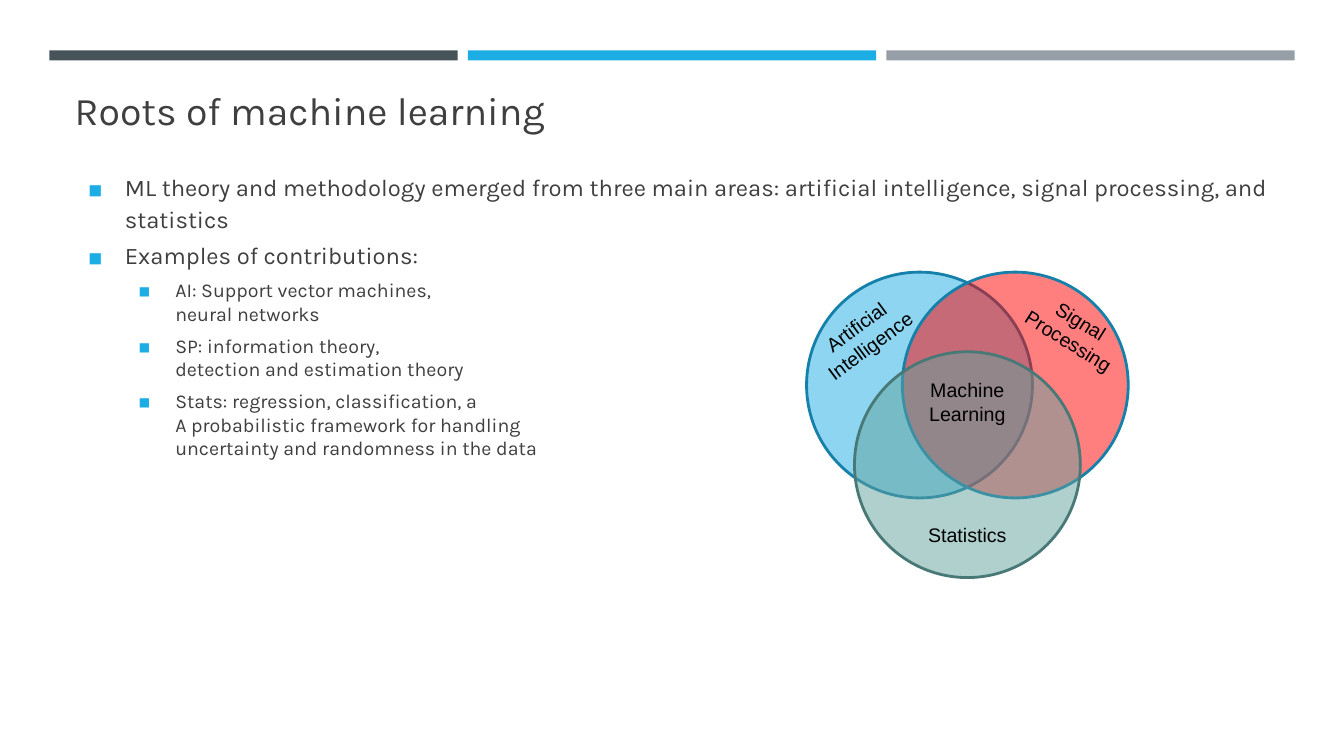
from dataclasses import dataclass

from lxml import etree
from pptx import Presentation
from pptx.dml.color import RGBColor
from pptx.enum.shapes import MSO_SHAPE
from pptx.enum.text import MSO_ANCHOR, PP_ALIGN
from pptx.oxml.ns import qn
from pptx.util import Inches, Pt

RECTANGLE, OVAL = MSO_SHAPE.RECTANGLE, MSO_SHAPE.OVAL
LEFT, CENTER = PP_ALIGN.LEFT, PP_ALIGN.CENTER
TOP, BOTTOM = MSO_ANCHOR.TOP, MSO_ANCHOR.BOTTOM
TITLE_ONLY = 5


@dataclass(frozen=True)
class Theme:
    font: str = "Karla"
    label_font: str = "Arial"
    text: str = "3F3F3F"
    label: str = "000000"
    accent: str = "1CADE4"
    accent_line: str = "1580A9"
    slate: str = "465359"
    gray: str = "969FA7"
    red: str = "FF0000"
    green: str = "62A39F"
    green_line: str = "497976"
    title_size: float = 28
    body_size: float = 17
    small_size: float = 14


THEME = Theme()
SLIDE_WIDTH, SLIDE_HEIGHT = 13.33, 7.5

# Three-column grid for the bars, one text column for title and body
GRID_LEFT, COLUMN_WIDTH, COLUMN_STEP = 0.49, 4.05, 4.15
TEXT_LEFT, TEXT_WIDTH = 0.64, 12.06

# Venn diagram: two circles above, one centred below
DIAMETER, VENN_LEFT, VENN_TOP = 2.24, 8.0, 2.7
OFFSET_X, OFFSET_Y = 0.95, 0.79
LABEL_WIDTH = 1.4

BULLETS = [
    (0, "ML theory and methodology emerged from three main areas: "
        "artificial intelligence, signal processing, and statistics"),
    (0, "Examples of contributions:"),
    (1, "AI: Support vector machines, \vneural networks"),
    (1, "SP: information theory, \vdetection and estimation theory"),
    (1, "Stats: regression, classification, a \v"
        "A probabilistic framework for handling \v"
        "uncertainty and randomness in the data"),
]


def box(left, top, width, height):
    return [Inches(value) for value in (left, top, width, height)]


def write(paragraph, text, *, font, size, color, align=LEFT):
    paragraph.text = text
    paragraph.alignment = align
    for run in paragraph.runs:
        run.font.name = font
        run.font.size = Pt(size)
        run.font.color.rgb = RGBColor.from_string(color)


def add_panel(slide, kind, bounds, fill, line=None, opacity=None):
    shape = slide.shapes.add_shape(kind, *box(*bounds))
    shape.shadow.inherit = False
    shape.fill.solid()
    shape.fill.fore_color.rgb = RGBColor.from_string(fill)
    if opacity:
        color = shape.fill._xPr.find(".//" + qn("a:srgbClr"))
        etree.SubElement(color, qn("a:alpha"), val=str(opacity * 1000))
    if line:
        shape.line.color.rgb = RGBColor.from_string(line)
        shape.line.width = Pt(2)
    else:
        shape.line.fill.background()


def add_label(slide, text, left, top, height=0.57, rotation=0):
    shape = slide.shapes.add_textbox(*box(left, top, LABEL_WIDTH, height))
    shape.rotation = rotation
    shape.text_frame.word_wrap = True
    write(shape.text_frame.paragraphs[0], text, font=THEME.label_font,
          size=THEME.small_size, color=THEME.label, align=CENTER)


def set_bullet(paragraph, level):
    properties = paragraph._p.get_or_add_pPr()
    properties.set("marL", str(Inches(0.5 * (level + 1))))
    properties.set("indent", str(Inches(-0.36)))
    color = etree.SubElement(properties, qn("a:buClr"))
    etree.SubElement(color, qn("a:srgbClr"), val=THEME.accent)
    etree.SubElement(properties, qn("a:buSzPct"), val="92000")
    etree.SubElement(properties, qn("a:buFont"), typeface="Noto Sans Symbols")
    etree.SubElement(properties, qn("a:buChar"), char="◼")


def add_title(slide, text):
    title = slide.shapes.title
    title.left, title.top, title.width, title.height = box(
        TEXT_LEFT, 0.77, TEXT_WIDTH, 0.6)
    title.text_frame.vertical_anchor = BOTTOM
    write(title.text_frame.paragraphs[0], text, font=THEME.font,
          size=THEME.title_size, color=THEME.text)


def add_bullets(slide, items):
    shape = slide.shapes.add_textbox(*box(TEXT_LEFT, 1.64, TEXT_WIDTH, 4.9))
    frame = shape.text_frame
    frame.word_wrap = True
    frame.vertical_anchor = TOP
    for index, (level, text) in enumerate(items):
        paragraph = frame.add_paragraph() if index else frame.paragraphs[0]
        set_bullet(paragraph, level)
        paragraph.level = level
        paragraph.line_spacing = 1.0 if level else 1.1
        if index:
            paragraph.space_before = Pt(6 if level else 3.6)
        write(paragraph, text, font=THEME.font, color=THEME.text,
              size=THEME.small_size if level else THEME.body_size)


def add_venn(slide):
    circles = [
        (0, 0, THEME.accent, THEME.accent_line),
        (OFFSET_X, 0, THEME.red, THEME.accent_line),
        (OFFSET_X / 2, OFFSET_Y, THEME.green, THEME.green_line),
    ]
    for across, down, fill, line in circles:
        bounds = (VENN_LEFT + across, VENN_TOP + down, DIAMETER, DIAMETER)
        add_panel(slide, OVAL, bounds, fill, line, opacity=50)

    center_left = VENN_LEFT + (OFFSET_X + DIAMETER - LABEL_WIDTH) / 2
    add_label(slide, "Statistics", center_left, 5.14, height=0.34)
    add_label(slide, "Artificial Intelligence", 7.86, 3.05, rotation=323.5)
    add_label(slide, "Signal Processing", 9.96, 3.0, rotation=32)
    add_label(slide, "Machine Learning", center_left, 3.7)


def main():
    presentation = Presentation()
    presentation.slide_width = Inches(SLIDE_WIDTH)
    presentation.slide_height = Inches(SLIDE_HEIGHT)
    slide = presentation.slides.add_slide(
        presentation.slide_layouts[TITLE_ONLY])

    # Bars across the top
    for column, color in enumerate((THEME.slate, THEME.accent, THEME.gray)):
        left = GRID_LEFT + column * COLUMN_STEP
        add_panel(slide, RECTANGLE, (left, 0.5, COLUMN_WIDTH, 0.1), color)

    # Text and diagram
    add_title(slide, "Roots of machine learning")
    add_bullets(slide, BULLETS)
    add_venn(slide)

    presentation.save("out.pptx")


if __name__ == "__main__":
    main()
